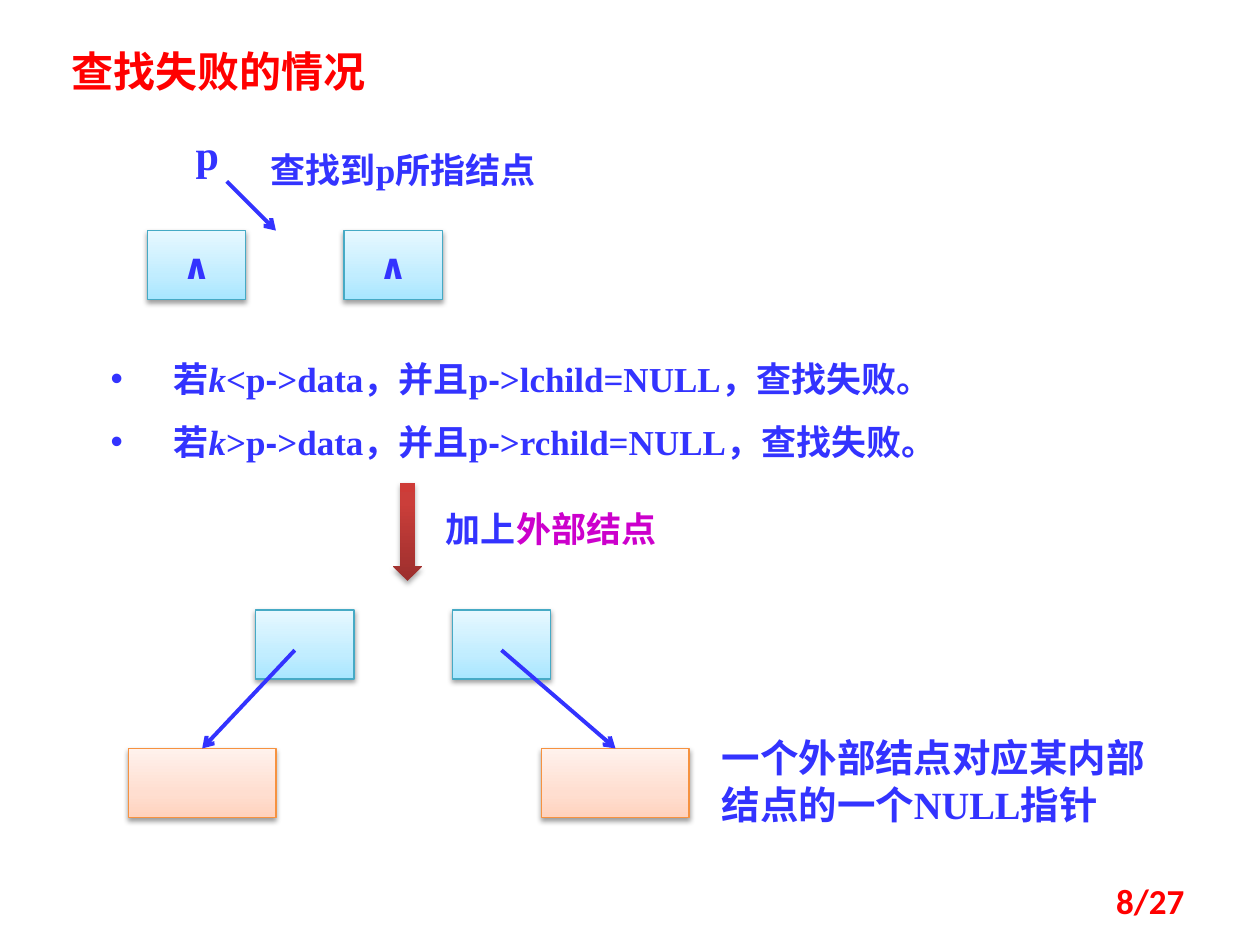
from lxml import etree
from pptx import Presentation
from pptx.dml.color import RGBColor
from pptx.enum.shapes import MSO_CONNECTOR as Link, MSO_SHAPE as Geom
from pptx.enum.text import MSO_ANCHOR as Anchor, PP_ALIGN as Align
from pptx.oxml.ns import qn
from pptx.util import Inches, Pt

BLUE, RED, PINK = "3333FF", "FF0000", "CC00CC"
SERIF, SANS, DASH = "Times New Roman", "Calibri", "Arial"
SKY = [(0, "A7E6FF"), (35, "C1EDFF"), (100, "E7F8FF")]
PEACH = [(0, "FFD2BD"), (35, "FFDED0"), (100, "FFF2ED")]
BRICK = [(0, "9C2F2D"), (80, "CB3E3A"), (100, "CE3B37")]

INNER = [(1.17, 1.83, "∧"), (2.73, 1.83, "∧"), (2.03, 4.84, ""), (3.59, 4.84, "")]
OUTER = [(1.02, 5.94), (4.3, 5.94)]
STARTS = [(2.34, 5.16), (3.98, 5.16)]
LABELS = [
    ((1.41, 0.97, 0.47, 0.5), [("p", BLUE)], 24, Align.CENTER),
    ((2.03, 1.13, 2.34, 0.44), [("查找到p所指结点", BLUE)], 20, Align.CENTER),
    ((0.47, 0.31, 2.97, 0.5), [("查找失败的情况", RED)], 24, Align.LEFT),
    ((3.44, 3.98, 2.19, 0.44), [("加上", BLUE), ("外部结点", PINK)], 20, Align.LEFT),
    ((5.63, 5.78, 3.67, 0.84), [("一个外部结点对应某内部结点的一个NULL指针", BLUE)], 22, Align.LEFT),
]
CASES = [("<", "lchild"), (">", "rchild")]


def color(code):
    return RGBColor.from_string(code)


def style(font, size, code, name=None):
    font.size, font.bold = Pt(size), True
    font.color.rgb = color(code)
    if name:
        font.name = name


def add(root, tag, **attrs):
    return etree.SubElement(root, qn(tag), {k: str(v) for k, v in attrs.items()})


def block(geom, spot, stops, edge=None, alpha=38, dist=1.6):
    shape = shapes.add_shape(geom, *map(Inches, spot))
    shape.fill.gradient()
    shape.fill.gradient_angle = 90
    grad = shape.element.spPr.find(".//" + qn("a:gsLst"))
    for old in list(grad):
        grad.remove(old)
    for place, code in stops:
        add(add(grad, "a:gs", pos=place * 1000), "a:srgbClr", val=code)
    if edge:
        shape.line.color.rgb = color(edge)
        shape.line.width = Pt(0.75)
    else:
        shape.line.fill.background()
    shape.shadow.inherit = False
    effect = shape.element.spPr.find(qn("a:effectLst"))
    shade = add(effect, "a:outerShdw", blurRad=Pt(3.1), dist=Pt(dist),
                dir=5400000, rotWithShape=0)
    add(add(shade, "a:srgbClr", val="000000"), "a:alpha", val=alpha * 1000)
    return shape


def arrow(start, end, goal=None):
    line = shapes.add_connector(Link.STRAIGHT, *map(Inches, start + end))
    if goal:
        line.end_connect(goal, 0)
    line.line.color.rgb = color(BLUE)
    line.line.width = Pt(2.25)
    add(line.line._get_or_add_ln(), "a:tailEnd", type="arrow")
    add(line._element.spPr, "a:effectLst")


def text(spot):
    frame = shapes.add_textbox(*map(Inches, spot)).text_frame
    frame.word_wrap = True
    return frame


deck = Presentation()
deck.slide_width, deck.slide_height = Inches(10), Inches(7.5)
shapes = deck.slides.add_slide(deck.slide_layouts[6]).shapes

for left, top, mark in INNER:
    node = block(Geom.RECTANGLE, (left, top, 0.78, 0.55), SKY, "46AAC5")
    if mark:
        node.text_frame.vertical_anchor = Anchor.MIDDLE
        para = node.text_frame.paragraphs[0]
        para.text, para.alignment = mark, Align.CENTER
        style(para.font, 20, BLUE, SANS)

arrow((1.8, 1.44), (2.19, 1.83))
for (left, top), start in zip(OUTER, STARTS):
    leaf = block(Geom.RECTANGLE, (left, top, 1.17, 0.55), PEACH, "F69240")
    arrow(start, (left + 0.585, top), leaf)

block(Geom.DOWN_ARROW, (3.12, 3.83, 0.23, 0.78), BRICK, alpha=35, dist=1.8)

for spot, runs, size, align in LABELS:
    para = text(spot).paragraphs[0]
    para.alignment = align
    style(para.font, size, runs[0][1], SERIF)
    for words, code in runs:
        run = para.add_run()
        run.text = words
        if code != runs[0][1]:
            run.font.color.rgb = color(code)

frame = text((0.78, 2.62, 7.97, 1.11))
for i, (sign, child) in enumerate(CASES):
    para = frame.add_paragraph() if i else frame.paragraphs[0]
    props = para._p.get_or_add_pPr()
    props.set("marL", str(Inches(0.5)))
    props.set("indent", str(Inches(-0.5)))
    add(props, "a:buFont", typeface=DASH)
    add(props, "a:buChar", char="•")
    para.line_spacing = 1.5
    style(para.font, 20, BLUE, SERIF)
    for words in ("若", "k", sign + "p", "-", ">data，并且p", "-", f">{child}=NULL，查找失败。"):
        run = para.add_run()
        run.text = words
        if words == "k":
            run.font.italic = True
        if words == "-":
            run.font.name = DASH

frame = text((7.17, 6.95, 2.33, 0.4))
frame.vertical_anchor = Anchor.MIDDLE
para = frame.paragraphs[0]
para.text, para.alignment = "8/27", Align.RIGHT
style(para.font, 20, RED, SANS)

deck.save("out.pptx")
